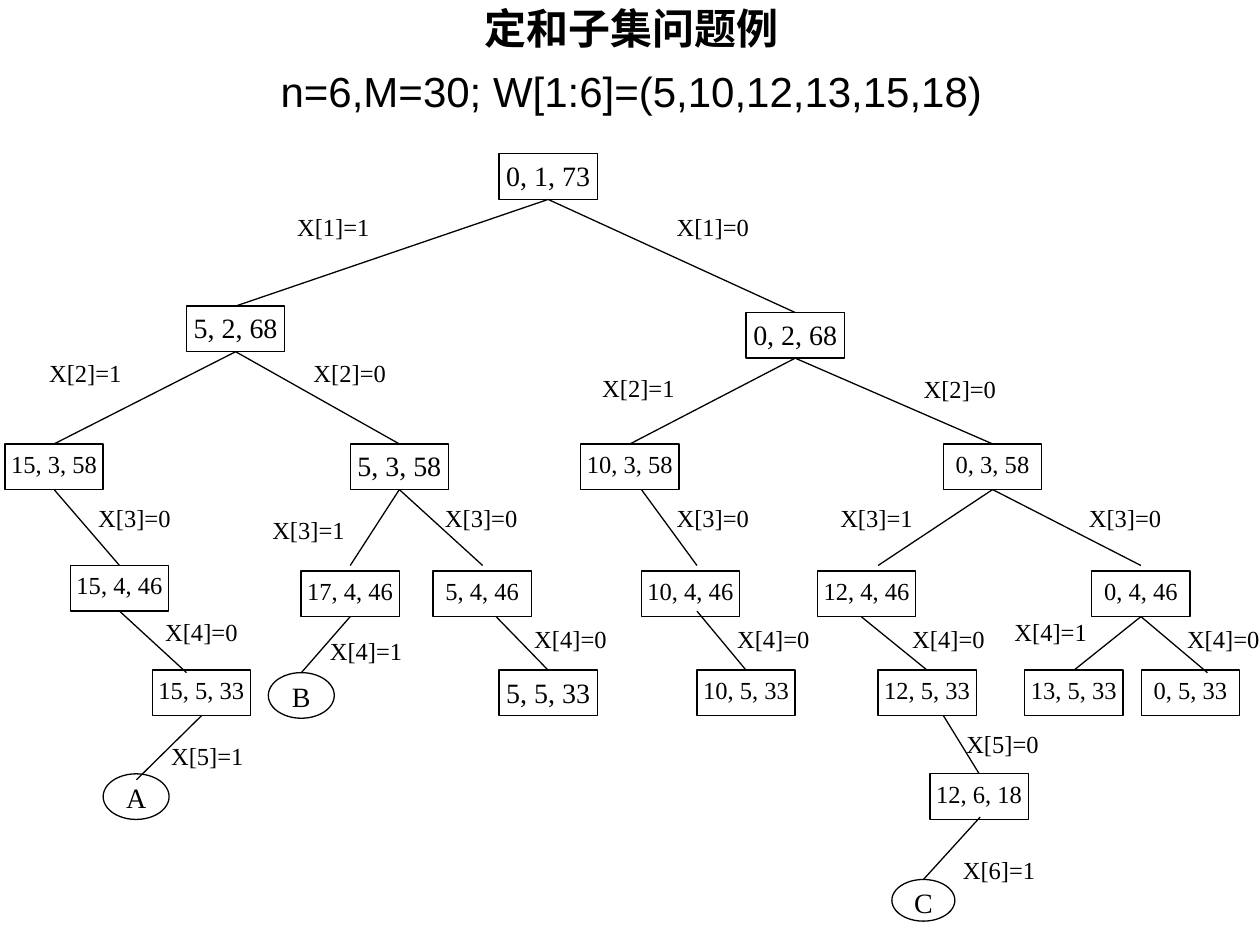
from dataclasses import dataclass
from typing import Optional

from pptx import Presentation
from pptx.dml.color import RGBColor
from pptx.enum.shapes import MSO_CONNECTOR, MSO_SHAPE
from pptx.enum.text import MSO_ANCHOR, PP_ALIGN
from pptx.oxml.ns import qn
from pptx.util import Cm, Pt


@dataclass(frozen=True)
class Theme:
    ink: RGBColor = RGBColor(0, 0, 0)
    head: str = "Arial"
    body: str = "Times New Roman"
    title: int = 24
    big: int = 16
    small: int = 14
    line: float = 0.75


@dataclass(frozen=True)
class Node:
    text: str
    left: float
    top: float
    size: int
    wide: float = 1.98
    high: float = 0.92
    leaf: bool = False


@dataclass(frozen=True)
class Edge:
    """A branch; start and stop are used where it misses a side's middle."""
    up: str
    down: str
    label: str
    left: float
    top: float
    start: Optional[tuple[float, float]] = None
    stop: Optional[tuple[float, float]] = None


THEME = Theme()
BIG, SMALL = THEME.big, THEME.small

NODES = [
    Node("0, 1, 73", 10.06, 3.1, BIG),
    Node("5, 2, 68", 3.76, 6.17, BIG),
    Node("0, 2, 68", 15.04, 6.3, BIG),
    Node("15, 3, 58", 0.1, 8.95, SMALL),
    Node("5, 3, 58", 7.06, 8.95, BIG),
    Node("10, 3, 58", 11.71, 8.95, SMALL),
    Node("0, 3, 58", 19.02, 8.95, SMALL),
    Node("15, 4, 46", 1.42, 11.4, SMALL),
    Node("17, 4, 46", 6.07, 11.51, SMALL),
    Node("5, 4, 46", 8.73, 11.51, SMALL),
    Node("10, 4, 46", 12.93, 11.51, SMALL),
    Node("12, 4, 46", 16.48, 11.51, SMALL),
    Node("0, 4, 46", 22.01, 11.51, SMALL),
    Node("15, 5, 33", 3.07, 13.51, SMALL),
    Node("5, 5, 33", 10.06, 13.51, BIG),
    Node("10, 5, 33", 14.05, 13.51, SMALL),
    Node("12, 5, 33", 17.7, 13.51, SMALL),
    Node("13, 5, 33", 20.66, 13.51, SMALL),
    Node("0, 5, 33", 23.01, 13.51, SMALL),
    Node("12, 6, 18", 18.75, 15.6, SMALL),
    Node("A", 2.08, 15.6, BIG, 1.33, leaf=True),
    Node("B", 5.41, 13.56, BIG, 1.33, leaf=True),
    Node("C", 17.98, 17.73, BIG, 1.27, 0.84, True),
]

EDGES = [
    Edge("0, 1, 73", "5, 2, 68", "X[1]=1", 5.99, 4.11),
    Edge("0, 1, 73", "0, 2, 68", "X[1]=0", 13.64, 4.11),
    Edge("5, 2, 68", "15, 3, 58", "X[2]=1", 0.99, 7.06),
    Edge("5, 2, 68", "5, 3, 58", "X[2]=0", 6.32, 7.06),
    Edge("0, 2, 68", "10, 3, 58", "X[2]=1", 12.14, 7.35),
    Edge("0, 2, 68", "0, 3, 58", "X[2]=0", 18.62, 7.37),
    Edge("15, 3, 58", "15, 4, 46", "X[3]=0", 1.98, 9.98),
    Edge("5, 3, 58", "17, 4, 46", "X[3]=1", 5.49, 10.21, stop=(7.06, 11.4)),
    Edge("5, 3, 58", "5, 4, 46", "X[3]=0", 8.97, 9.98, stop=(9.73, 11.4)),
    Edge("10, 3, 58", "10, 4, 46", "X[3]=0", 13.64, 9.98, (12.93, 9.87), (14.05, 11.4)),
    Edge("0, 3, 58", "12, 4, 46", "X[3]=1", 16.94, 9.98, stop=(17.7, 11.4)),
    Edge("0, 3, 58", "0, 4, 46", "X[3]=0", 21.95, 9.98, stop=(23.0, 11.4)),
    Edge("15, 4, 46", "15, 5, 33", "X[4]=0", 3.33, 12.27, stop=(3.76, 13.56)),
    Edge("17, 4, 46", "B", "X[4]=1", 6.65, 12.65),
    Edge("5, 4, 46", "5, 5, 33", "X[4]=0", 10.77, 12.42, start=(10.0, 12.43)),
    Edge("10, 4, 46", "10, 5, 33", "X[4]=0", 14.86, 12.42, start=(14.05, 12.32)),
    Edge("12, 4, 46", "12, 5, 33", "X[4]=0", 18.39, 12.42, start=(17.36, 12.43)),
    Edge("0, 4, 46", "13, 5, 33", "X[4]=1", 20.45, 12.27),
    Edge("0, 4, 46", "0, 5, 33", "X[4]=0", 23.93, 12.42, stop=(24.34, 13.56)),
    Edge("15, 5, 33", "A", "X[5]=1", 3.45, 14.78, stop=(2.75, 15.72)),
    Edge("12, 5, 33", "12, 6, 18", "X[5]=0", 19.48, 14.53, start=(19.02, 14.43)),
    Edge("12, 6, 18", "C", "X[6]=1", 19.41, 17.07, start=(19.76, 16.47)),
]


def style(para, size: int, face: str, bold: bool = False) -> None:
    for run in para.runs:
        font = run.font
        font.size, font.name, font.bold = Pt(size), face, bold
        font.color.rgb = THEME.ink


def inset(frame, side: float, rim: float) -> None:
    frame.margin_left = frame.margin_right = Cm(side)
    frame.margin_top = frame.margin_bottom = Cm(rim)
    frame.word_wrap = True


def draw_title(shapes) -> None:
    frame = shapes.add_textbox(Cm(1.3), Cm(0.38), Cm(22.86), Cm(1.96)).text_frame
    inset(frame, 0, 0)
    frame.vertical_anchor = MSO_ANCHOR.BOTTOM
    frame.text = "定和子集问题例\nn=6,M=30; W[1:6]=(5,10,12,13,15,18)"
    for row, para in enumerate(frame.paragraphs):
        para.alignment = PP_ALIGN.CENTER
        para.space_before = Pt(7 * row)
        style(para, THEME.title, THEME.head, row == 0)


def draw_node(shapes, node: Node):
    kind = MSO_SHAPE.OVAL if node.leaf else MSO_SHAPE.RECTANGLE
    shape = shapes.add_shape(kind, Cm(node.left), Cm(node.top), Cm(node.wide), Cm(node.high))
    shape.shadow.inherit = False
    shape.fill.background()
    shape.line.color.rgb = THEME.ink
    shape.line.width = Pt(THEME.line)
    frame = shape.text_frame
    inset(frame, *((0.05, 0) if node.leaf else (0, 0.1)))
    frame.vertical_anchor = MSO_ANCHOR.TOP
    frame.text = node.text
    para = frame.paragraphs[0]
    para.alignment = PP_ALIGN.CENTER
    style(para, node.size, THEME.body)
    return shape


def draw_edge(shapes, edge: Edge, boxes: dict) -> None:
    # Branch line
    start, stop = edge.start or (0, 0), edge.stop or (0, 0)
    line = shapes.add_connector(MSO_CONNECTOR.STRAIGHT, *map(Cm, start + stop))
    if not edge.start:
        line.begin_connect(boxes[edge.up], 2)
    if not edge.stop:
        line.end_connect(boxes[edge.down], 0)
    line.line.color.rgb = THEME.ink
    line.line.width = Pt(THEME.line)
    props = line._element.spPr
    props.append(props.makeelement(qn("a:effectLst"), {}))

    # Branch label
    frame = shapes.add_textbox(Cm(edge.left), Cm(edge.top), Cm(1.65), Cm(0.74)).text_frame
    inset(frame, 0, 0)
    frame.text = edge.label
    para = frame.paragraphs[0]
    para.alignment = PP_ALIGN.JUSTIFY
    para.line_spacing = 1.28
    style(para, THEME.small, THEME.body)


def main() -> None:
    deck = Presentation()
    deck.slide_width, deck.slide_height = Cm(25.4), Cm(19.05)
    shapes = deck.slides.add_slide(deck.slide_layouts[6]).shapes
    draw_title(shapes)
    boxes = {node.text: draw_node(shapes, node) for node in NODES}
    for edge in EDGES:
        draw_edge(shapes, edge, boxes)
    deck.save("out.pptx")


if __name__ == "__main__":
    main()
